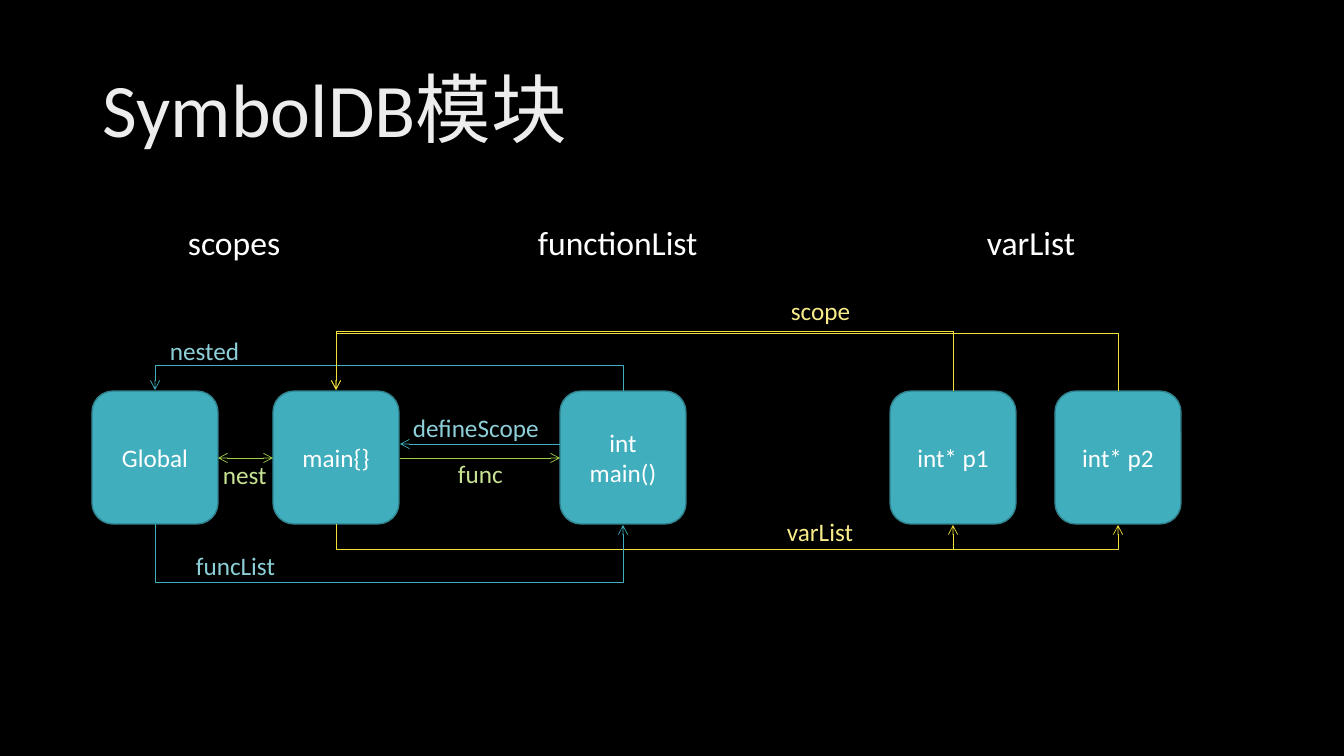
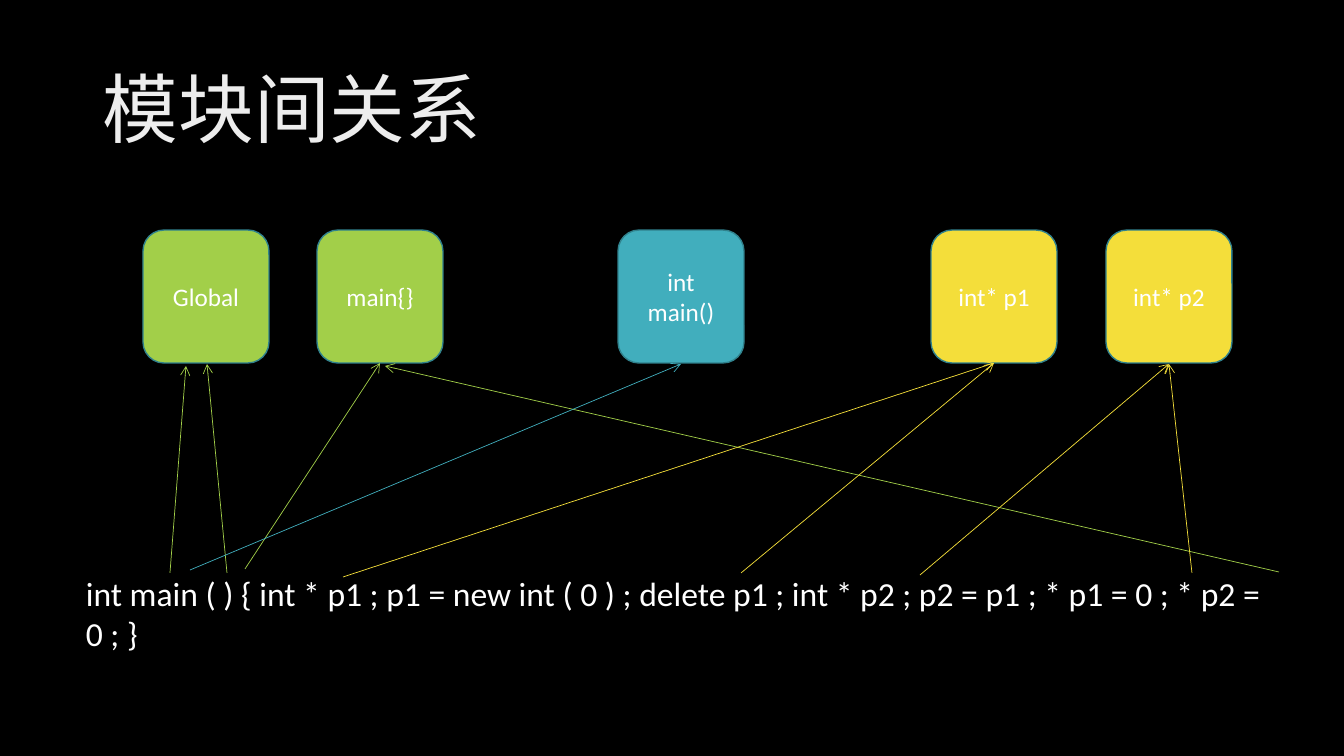
from typing import NamedTuple

from lxml import etree
from pptx import Presentation
from pptx.dml.color import RGBColor
from pptx.enum.shapes import MSO_CONNECTOR, MSO_SHAPE
from pptx.enum.text import MSO_ANCHOR, PP_ALIGN
from pptx.oxml import parse_xml
from pptx.oxml.ns import nsdecls, qn
from pptx.util import Emu, Pt

ROUND = MSO_SHAPE.ROUNDED_RECTANGLE
STRAIGHT, ELBOW = MSO_CONNECTOR.STRAIGHT, MSO_CONNECTOR.ELBOW
CENTER, MIDDLE = PP_ALIGN.CENTER, MSO_ANCHOR.MIDDLE
TOP, BOTTOM = 0, 2  # connection sites of a box

SCALE = 914400 / 100.8
FONT = "Calibri"
BLACK, WHITE = "000000", "FFFFFF"
TEAL, GREEN, YELLOW, EDGE = "41AEBD", "A2CF49", "F4DE3A", "30818C"
PALE_TEAL, PALE_GREEN, PALE_YELLOW = "8DCFD8", "C7E292", "F8EB89"
TITLE_STOPS = ((0, "BFBFBF"), (28, "EDEDED"), (100, "FFFFFF"))
BOX_W, BOX_H = 126, 133


class Box(NamedTuple):
    """A rounded box, by its left edge."""
    text: str
    left: int
    fill: str = TEAL


class Label(NamedTuple):
    """A line of free text."""
    text: str
    left: int
    top: int
    width: int
    color: str = WHITE
    size: int = 18
    height: int = 40


class Arrow(NamedTuple):
    """A straight arrow from one point to another."""
    x1: int
    y1: int
    x2: int
    y2: int
    color: str
    both: bool = False


class Loop(NamedTuple):
    """A three-part arrow joining the same side of two boxes."""
    start: str
    end: str
    site: int
    depth: int
    color: str


def px(n: float) -> Emu:
    """Turn pixels into EMU."""
    return Emu(round(n * SCALE))


def rgb(code: str) -> RGBColor:
    """Turn a hex string into a colour."""
    return RGBColor.from_string(code)


def style(par, size: int, color: str) -> None:
    """Set the font of a paragraph."""
    par.font.name = FONT
    par.font.size = Pt(size)
    par.font.color.rgb = rgb(color)


def draw_label(slide, label: Label):
    """Draw a text box and return it."""
    shape = slide.shapes.add_textbox(
        px(label.left), px(label.top), px(label.width), px(label.height))
    frame = shape.text_frame
    frame.word_wrap = True
    frame.text = label.text
    style(frame.paragraphs[0], label.size, label.color)
    return shape


def draw_title(slide, text: str) -> None:
    """Draw the slide title with its gradient letters."""
    frame = draw_label(slide, Label(text, 93, 40, 1159, WHITE, 54, 146)).text_frame
    frame.vertical_anchor = MIDDLE
    par = frame.paragraphs[0]
    par.line_spacing = 0.9
    stops = "".join(
        f'<a:gs pos="{pos * 1000}"><a:srgbClr val="{code}"/></a:gs>'
        for pos, code in TITLE_STOPS)
    props = par.runs[0].font
    props.fill.background()
    node = par.runs[0]._r.find(qn("a:rPr"))
    node.replace(node.find(qn("a:noFill")), parse_xml(
        f'<a:gradFill {nsdecls("a")}><a:gsLst>{stops}</a:gsLst>'
        '<a:lin ang="4800000" scaled="0"/></a:gradFill>'))


def draw_boxes(slide, boxes: tuple[Box, ...], top: int) -> dict:
    """Draw a row of boxes and return them by text."""
    made = {}
    for box in boxes:
        shape = slide.shapes.add_shape(
            ROUND, px(box.left), px(top), px(BOX_W), px(BOX_H))
        shape.shadow.inherit = False
        shape.fill.solid()
        shape.fill.fore_color.rgb = rgb(box.fill)
        shape.line.color.rgb = rgb(EDGE)
        shape.line.width = Pt(1)
        frame = shape.text_frame
        frame.word_wrap = True
        frame.vertical_anchor = MIDDLE
        frame.text = box.text
        par = frame.paragraphs[0]
        par.alignment = CENTER
        style(par, 18, WHITE)
        made[box.text] = shape
    return made


def dress(line, color: str, both: bool = False) -> None:
    """Give a connector its thin line and open arrowheads."""
    line.line.color.rgb = rgb(color)
    line.line.width = Pt(0.5)
    props = line.element.spPr
    ends = ("headEnd", "tailEnd") if both else ("tailEnd",)
    for end in ends:
        etree.SubElement(props.find(qn("a:ln")), qn(f"a:{end}"), type="arrow")
    etree.SubElement(props, qn("a:effectLst"))


def draw_arrow(slide, arrow: Arrow) -> None:
    """Draw a straight arrow."""
    line = slide.shapes.add_connector(
        STRAIGHT, px(arrow.x1), px(arrow.y1), px(arrow.x2), px(arrow.y2))
    dress(line, arrow.color, arrow.both)


def draw_loop(slide, loop: Loop, boxes: dict) -> None:
    """Draw an elbow turned a quarter, one pixel thick before its bend."""
    start, end = boxes[loop.start], boxes[loop.end]
    line = slide.shapes.add_connector(ELBOW, 0, 0, 0, 0)
    line.begin_connect(start, loop.site)
    line.end_connect(end, loop.site)
    below = loop.site == BOTTOM
    span = abs(end.left - start.left)
    mid = (start.left + end.left + start.width) // 2
    edge = start.top + start.height + px(0.5) if below else start.top - px(0.5)
    frame = line.element.spPr.find(qn("a:xfrm"))
    frame.attrib.clear()
    frame.set("rot", "5400000" if below else "16200000")
    frame.set("flipV", "1")
    line.left, line.top = mid - px(0.5), edge - span // 2
    line.width, line.height = px(1), span
    geom = line.element.spPr.find(qn("a:prstGeom"))
    etree.SubElement(geom.find(qn("a:avLst")), qn("a:gd"),
                     name="adj1", fmla=f"val {loop.depth * 100000}")
    dress(line, loop.color)


def draw_slide(deck, title: str, boxes: tuple[Box, ...], top: int,
               labels: tuple[Label, ...], arrows: tuple[Arrow, ...],
               loops: tuple[Loop, ...] = ()) -> None:
    """Add one slide with all its parts."""
    slide = deck.slides.add_slide(deck.slide_layouts[6])
    draw_title(slide, title)
    made = draw_boxes(slide, boxes, top)
    for loop in loops:
        draw_loop(slide, loop, made)
    for label in labels:
        draw_label(slide, label)
    for arrow in arrows:
        draw_arrow(slide, arrow)


GLOBAL, SCOPE, FUNC = "Global", "main{}", "int main()"
P1, P2 = "int* p1", "int* p2"

DB_BOXES = (Box(GLOBAL, 92), Box(SCOPE, 273), Box(FUNC, 560),
            Box(P1, 890), Box(P2, 1055))
HEADS = tuple(Label(text, left, 217, 240, WHITE, 24, 50) for text, left in (
    ("scopes", 178), ("functionList", 528), ("varList", 977)))
TAGS = (
    Label("nested", 160, 330, 97, PALE_TEAL),
    Label("nest", 213, 454, 68, PALE_GREEN),
    Label("defineScope", 403, 407, 166, PALE_TEAL),
    Label("funcList", 186, 545, 112, PALE_TEAL),
    Label("scope", 781, 290, 112, PALE_YELLOW),
    Label("func", 448, 453, 68, PALE_GREEN),
    Label("varList", 777, 511, 112, PALE_YELLOW),
)
DB_ARROWS = (
    Arrow(218, 458, 273, 458, GREEN, True),
    Arrow(560, 444, 400, 444, TEAL),
    Arrow(400, 458, 560, 458, GREEN),
)
LOOPS = (
    Loop(SCOPE, P1, BOTTOM, 26, YELLOW),
    Loop(SCOPE, P2, BOTTOM, 26, YELLOW),
    Loop(GLOBAL, FUNC, BOTTOM, 59, TEAL),
    Loop(FUNC, GLOBAL, TOP, 26, TEAL),
    Loop(P1, SCOPE, TOP, 60, YELLOW),
    Loop(P2, SCOPE, TOP, 58, YELLOW),
)

LINK_BOXES = (Box(GLOBAL, 143, GREEN), Box(SCOPE, 317, GREEN), Box(FUNC, 618),
              Box(P1, 931, YELLOW), Box(P2, 1106, YELLOW))
CODE = Label("int main ( ) { int * p1 ; p1 = new int ( 0 ) ; delete p1 ; "
             "int * p2 ; p2 = p1 ; * p1 = 0 ; * p2 = 0 ; }",
             76, 568, 1245, WHITE, 24, 50)
LINKS = (
    Arrow(227, 573, 207, 364, GREEN),
    Arrow(170, 573, 186, 366, GREEN),
    Arrow(245, 569, 380, 363, GREEN),
    Arrow(1279, 572, 385, 366, GREEN),
    Arrow(190, 570, 681, 364, TEAL),
    Arrow(343, 577, 994, 363, YELLOW),
    Arrow(741, 573, 994, 363, YELLOW),
    Arrow(920, 575, 1169, 364, YELLOW),
    Arrow(1192, 573, 1169, 364, YELLOW),
)

deck = Presentation()
deck.slide_width, deck.slide_height = px(1344), px(756)
back = deck.slide_master.background.fill
back.solid()
back.fore_color.rgb = rgb(BLACK)
draw_slide(deck, "SymbolDB模块", DB_BOXES, 391, HEADS + TAGS, DB_ARROWS, LOOPS)
draw_slide(deck, "模块间关系", LINK_BOXES, 230, (CODE,), LINKS)
deck.save("out.pptx")
